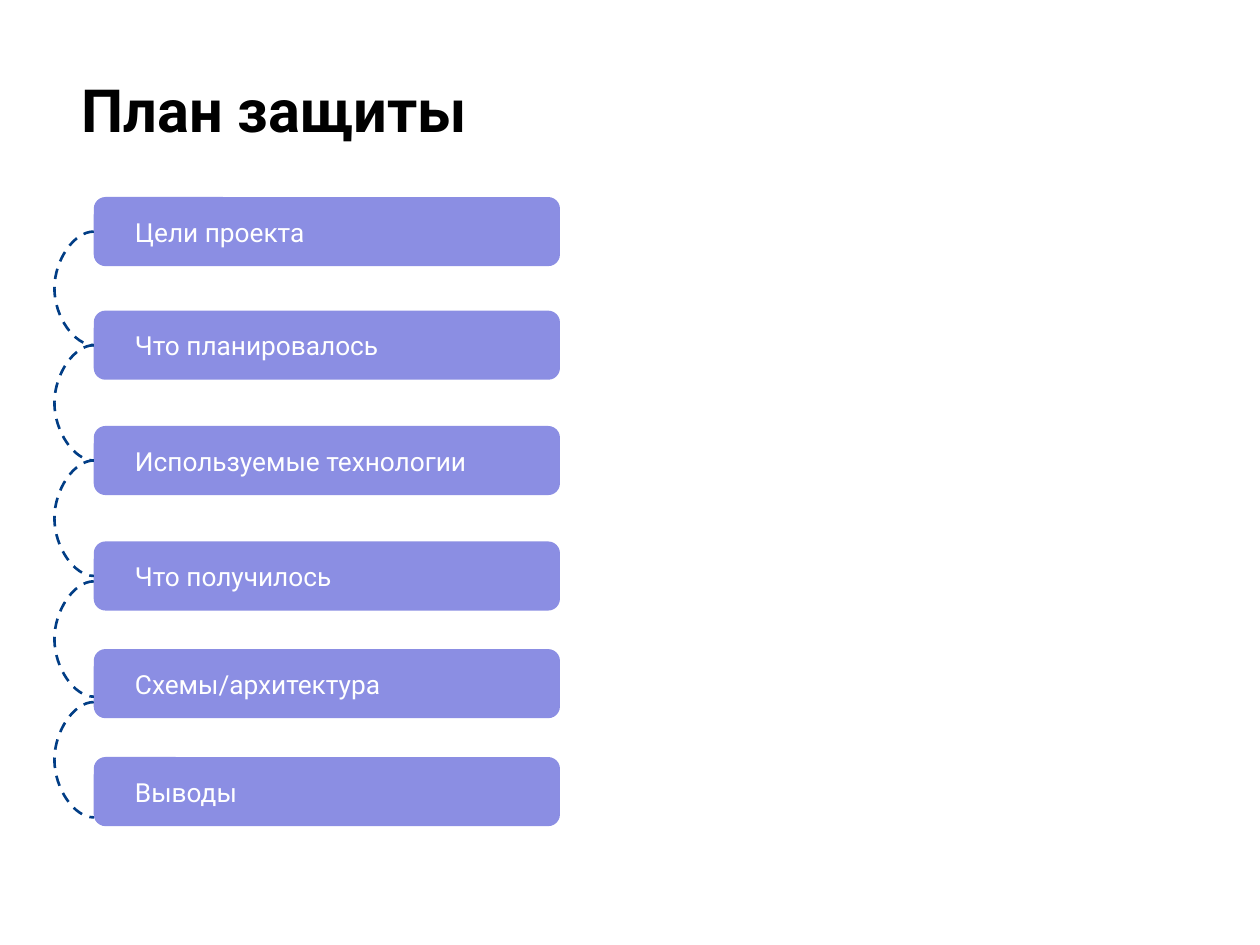
from itertools import pairwise

from lxml import etree
from pptx import Presentation
from pptx.dml.color import RGBColor
from pptx.enum.dml import MSO_LINE
from pptx.enum.shapes import MSO_CONNECTOR, MSO_SHAPE
from pptx.enum.text import MSO_ANCHOR, PP_ALIGN
from pptx.oxml.ns import qn
from pptx.util import Pt

COLORS = {"title": "000000", "step": "8B8EE3", "step_text": "FFFFFF", "arc": "013D85"}
FONT = "Roboto"

STEPS = [
    ("Цели проекта", 112.6),
    ("Что планировалось", 177.5),
    ("Используемые технологии", 243.4),
    ("Что получилось", 309.4),
    ("Схемы/архитектура", 370.9),
    ("Выводы", 432.6),
]
STEP_LEFT, STEP_WIDTH, STEP_HEIGHT = 53.6, 266.4, 39.5
LOWER_ARC_TOPS = (332.2, 401.2)
LOWER_ARC_HEIGHT = 65.9

# The arc's bulge is its tiny width times this ratio.
ARC_WIDTH = 0.05
ARC_BULGE = -39687500


def rgb(name):
    return RGBColor.from_string(COLORS[name])


def write(frame, text, size, color, side_inset, bold=False):
    frame.word_wrap = True
    frame.margin_left = frame.margin_right = Pt(side_inset)
    frame.margin_top = frame.margin_bottom = Pt(7.2)
    frame.text = text
    paragraph = frame.paragraphs[0]
    paragraph.alignment = PP_ALIGN.LEFT
    font = paragraph.runs[0].font
    font.name, font.size, font.bold = FONT, Pt(size), bold
    font.color.rgb = rgb(color)


def add_title(slide, text):
    title = slide.shapes.add_textbox(Pt(39.6), Pt(34.6), Pt(671), Pt(59))
    write(title.text_frame, text, 34, "title", 7.2, bold=True)


def add_step(slide, text, top):
    step = slide.shapes.add_shape(
        MSO_SHAPE.ROUNDED_RECTANGLE,
        Pt(STEP_LEFT), Pt(top), Pt(STEP_WIDTH), Pt(STEP_HEIGHT),
    )
    step.adjustments[0] = 0.17
    step.shadow.inherit = False
    step.fill.solid()
    step.fill.fore_color.rgb = rgb("step")
    step.line.fill.background()
    step.text_frame.vertical_anchor = MSO_ANCHOR.MIDDLE
    write(step.text_frame, text, 15, "step_text", 21.6)


def add_arc(slide, top, bottom):
    """Dashed curve that bulges out to the left of the steps."""
    arc = slide.shapes.add_connector(
        MSO_CONNECTOR.CURVE,
        Pt(STEP_LEFT), Pt(top), Pt(STEP_LEFT + ARC_WIDTH), Pt(bottom),
    )
    arc.line.color.rgb = rgb("arc")
    arc.line.width = Pt(1.5)
    arc.line.dash_style = MSO_LINE.DASH
    properties = arc.element.spPr
    etree.SubElement(properties, qn("a:effectLst"))
    guides = properties.find(qn("a:prstGeom")).get_or_add_avLst()
    etree.SubElement(guides, qn("a:gd"), name="adj1", fmla=f"val {ARC_BULGE}")


def main():
    presentation = Presentation()
    presentation.slide_width, presentation.slide_height = Pt(720), Pt(540)
    slide = presentation.slides.add_slide(presentation.slide_layouts[6])

    add_title(slide, "План защиты")
    for text, top in STEPS:
        add_step(slide, text, top)

    middles = [top + STEP_HEIGHT / 2 for _, top in STEPS[:4]]
    for upper, lower in pairwise(middles):
        add_arc(slide, upper, lower)
    for top in LOWER_ARC_TOPS:
        add_arc(slide, top, top + LOWER_ARC_HEIGHT)

    presentation.save("out.pptx")


if __name__ == "__main__":
    main()
